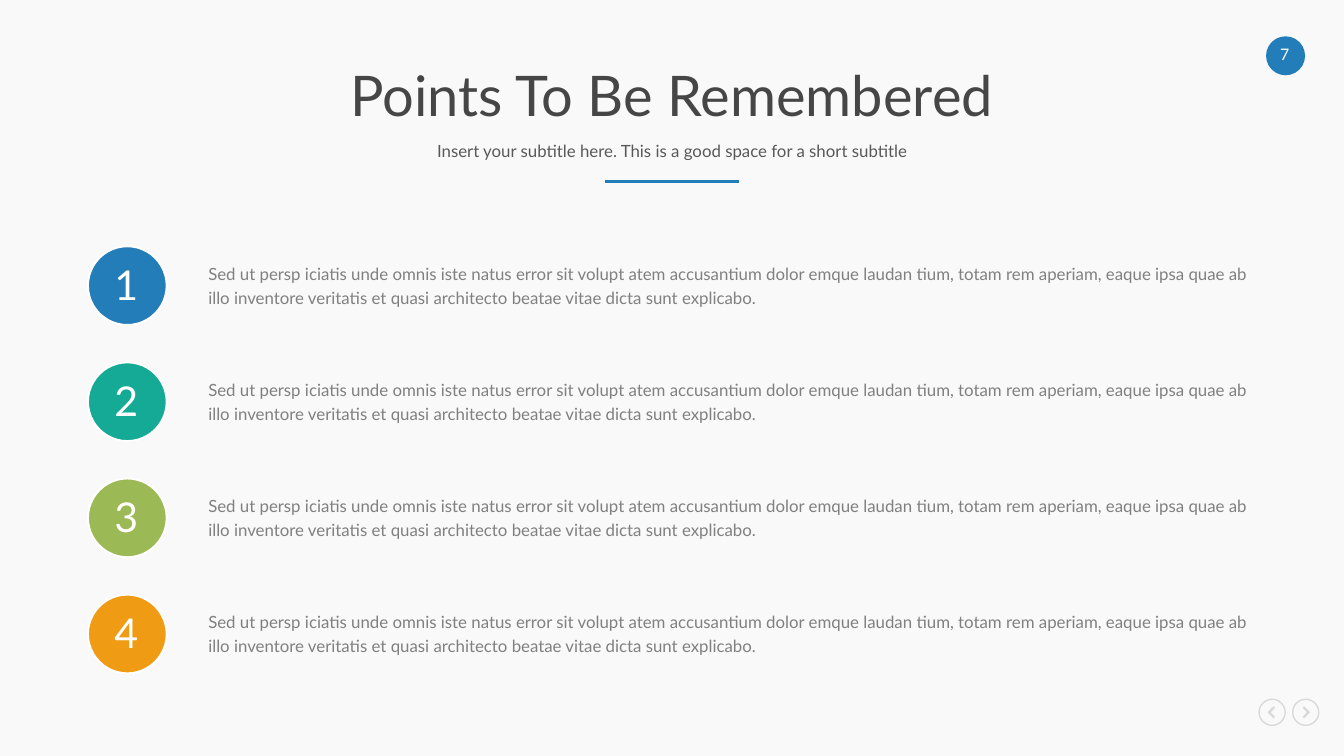
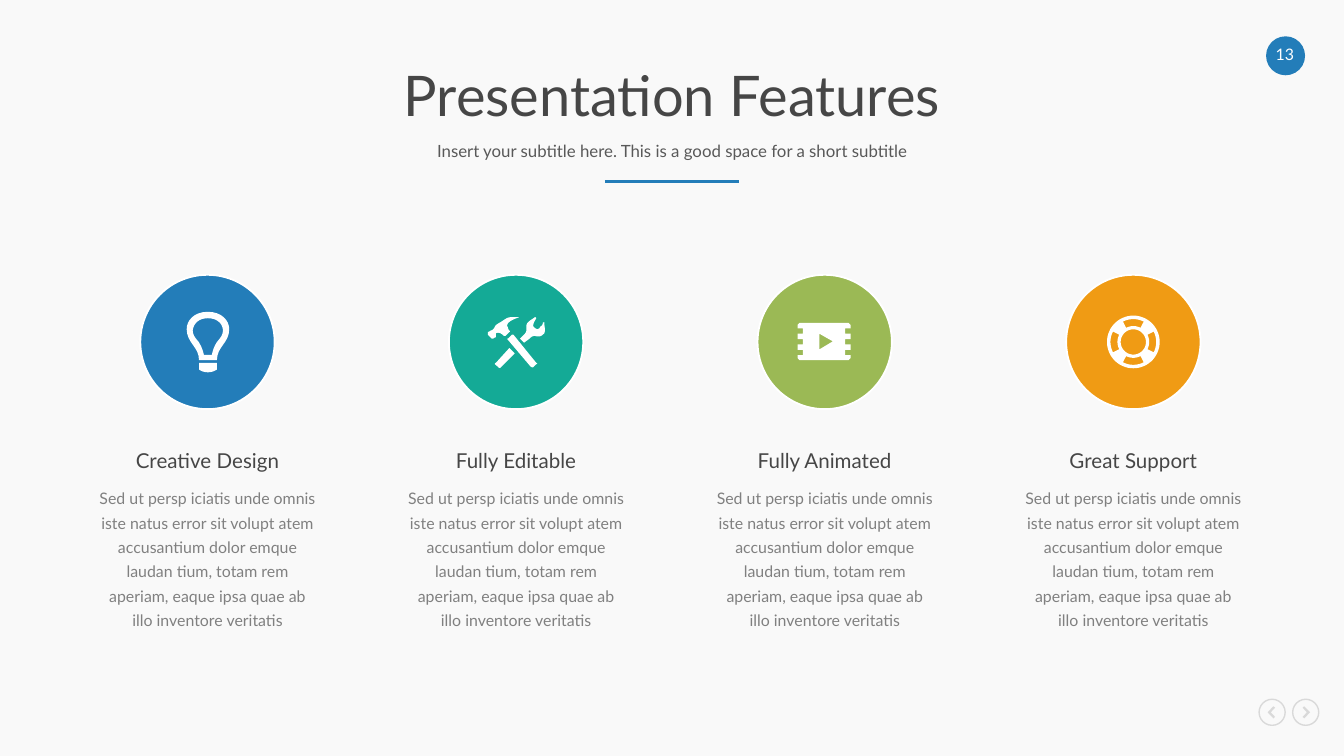
from dataclasses import dataclass
from math import cos, radians, sin
from typing import Iterator

from lxml.etree import SubElement
from pptx import Presentation
from pptx.dml.color import RGBColor
from pptx.enum.shapes import MSO_CONNECTOR, MSO_SHAPE
from pptx.enum.text import MSO_ANCHOR, PP_ALIGN
from pptx.oxml.ns import qn
from pptx.util import Emu, Inches, Pt

# The grid has 100 columns of square cells
SLIDE_WIDTH, SLIDE_HEIGHT = Inches(10), Inches(5.625)
CELL = SLIDE_WIDTH / 100
FONT = "Lato"
COLORS = {
    "background": "F9F9F9", "white": "FFFFFF", "title": "464646",
    "subtitle": "595959", "body": "808080", "navigation": "D9D9D9",
    "blue": "237DB9", "teal": "14AA96", "green": "9BB955", "orange": "F09B14",
}
SUBTITLE = "Insert your subtitle here. This is a good space for a short subtitle"
FEATURE_TEXT = (
    "Sed ut persp iciatis unde omnis iste natus error sit volupt atem accusantium "
    "dolor emque laudan tium, totam rem aperiam, eaque ipsa quae ab illo inventore veritatis"
)
POINT_TEXT = FEATURE_TEXT + " et quasi architecto beatae vitae dicta sunt explicabo."

Point = tuple[float, float]
Contour = list[Point]


@dataclass(frozen=True)
class Box:
    """A rectangle in grid cells."""
    left: float
    top: float
    width: float
    height: float

    def emu(self) -> list[Emu]:
        return [cells(n) for n in (self.left, self.top, self.width, self.height)]


@dataclass(frozen=True)
class Feature:
    heading: str
    color: str
    icon: list[Contour]


def cells(count: float) -> Emu:
    return Emu(round(count * CELL))


def rgb(name: str) -> RGBColor:
    return RGBColor.from_string(COLORS[name])


# Outline geometry
def bezier(*controls: Point, steps: int = 8) -> Iterator[Point]:
    for step in range(1, steps + 1):
        t = step / steps
        weights = ((1 - t) ** 3, 3 * t * (1 - t) ** 2, 3 * t * t * (1 - t), t ** 3)
        yield tuple(sum(w * p[axis] for w, p in zip(weights, controls)) for axis in (0, 1))


def outline(commands: str) -> list[Contour]:
    """Read M, L and C commands; every M starts a closed contour."""
    contours = []
    for part in commands.split("M")[1:]:
        contour = []
        for command in part.replace("L", "|L").replace("C", "|C").split("|"):
            numbers = [float(n) for n in command.strip("LC ").split()]
            points = list(zip(numbers[::2], numbers[1::2]))
            if command.startswith("C"):
                contour.extend(bezier(contour[-1], *points))
            else:
                contour.extend(points)
        contours.append(contour)
    return contours


def arc(radius: float, start: int, end: int) -> Contour:
    step = 6 if end > start else -6
    return [(50 + radius * cos(radians(a)), 49.5 + radius * sin(radians(a)))
            for a in range(start, end + step, step)]


def film_icon() -> list[Contour]:
    left, right, top, bottom, notch = 29.7, 69.2, 35.3, 62.9, 4
    teeth = [top + notch * n for n in range(1, 7)]
    right_side = [(x, y) for n, y in enumerate(teeth)
                  for x in ((right, right - notch) if n % 2 == 0 else (right - notch, right))]
    left_side = [(left + right - x, y) for x, y in reversed(right_side)]
    frame = [(left + 1.5, top), (right - 1.5, top), (right, top + 1.5), *right_side,
             (right, bottom - 1.5), (right - 1.5, bottom), (left + 1.5, bottom),
             (left, bottom - 1.5), *left_side, (left, top + 1.5)]
    return [frame, [(46, 43.3), (56, 49), (46, 55)]]


def lifebuoy_icon() -> list[Contour]:
    gaps = [arc(17, middle - 27, middle + 27) + arc(11.8, middle + 27, middle - 27)
            for middle in range(0, 360, 90)]
    return [arc(19.6, 0, 354), arc(9.4, 0, 354), *gaps]


# Icons are measured in hundredths of the circle behind them
BULB_ICON = outline(
    "M 39 40.5 C 40 35 44 31.8 50.3 31.8 C 56.5 31.8 61 35 61.5 40.5"
    " C 61.5 44 60 46 57 49.5 C 55.5 52 54 55 53.3 59 L 47.3 59"
    " C 46.5 55 45 52 43.5 49.5 C 40.5 46 39 44 39 40.5"
    " M 57 63 C 57 53 66.2 50 66.2 40 C 66.2 33.5 60.5 27 50.3 27"
    " C 40 27 34.5 33.5 34.5 40 C 34.5 50 43.7 53 43.7 63"
    " M 43.7 70 C 46 71.5 48 72 50.3 72 C 52.5 72 54.5 71.5 57 70 L 57 65 L 43.7 65"
)
TOOLS_ICON = outline(
    "M 35 65 C 34 65.3 34 66 34.8 66.5 L 37 68.4 C 37.5 69 38 69 38.6 68.4"
    " L 49 58 L 45 54"
    " M 71 36 C 71 34 71 35 70 35 C 70 36 69 38 68 38 C 68 39 66 41 64 39"
    " C 62 38 63 36 63 36 C 63 35 65 32 65 32 C 65 32 65 31 64 31"
    " C 63 32 59 34 58 36 C 57 39 59 41 56 44 L 53 47 L 56 50 L 60 47"
    " C 61 46 62 45 64 45 C 68 46 69 45 71 43 C 72 41 71 37 71 36"
    " M 48 44 L 47 44 L 44 47 C 43 47 43 47 44 48 L 61 68 C 62 68.5 63 68.5 63 68"
    " L 65 66 C 66 66 66 65 65 65"
    " M 35 43 C 37 42 39 43 41 45 L 42 45 L 45 42 C 45 42 46 42 45 41"
    " C 45 41 44 40 44 39 C 40 34 54 31 52 31 L 46 31 C 43 31 40 34 38 35"
    " C 36 36 35 37 35 37 C 34 38 34 39 33 40 C 32 41 31 41 31 41"
    " C 30 42 29 42 29 42 L 29 44 L 32 47 L 33 47 C 33 47 34 46 35 46 C 35 45 35 44 35 43"
)
CHEVRON = [(-3.3, 0), (1, -4.5), (2.3, -3.4), (-0.9, 0), (2.3, 3.4), (1, 4.5)]

FEATURES = [
    Feature("Creative Design", "blue", BULB_ICON),
    Feature("Fully Editable", "teal", TOOLS_ICON),
    Feature("Fully Animated", "green", film_icon()),
    Feature("Great Support", "orange", lifebuoy_icon()),
]


# Drawing functions
def add_text(slide, box: Box, text: str, *, size: float, color: str,
             align=PP_ALIGN.CENTER, anchor=MSO_ANCHOR.TOP,
             line_spacing=None, space_after=None) -> None:
    frame = slide.shapes.add_textbox(*box.emu()).text_frame
    frame.margin_left = frame.margin_top = frame.margin_right = frame.margin_bottom = 0
    frame.word_wrap = True
    frame.vertical_anchor = anchor
    paragraph = frame.paragraphs[0]
    paragraph.text = text
    paragraph.alignment = align
    paragraph.line_spacing = line_spacing
    paragraph.space_after = space_after
    font = paragraph.runs[0].font
    font.name, font.size = FONT, Pt(size)
    font.color.rgb = rgb(color)


def add_circle(slide, box: Box, *, fill: str | None = None,
               line: str | None = None, line_width: float = 1) -> None:
    shape = slide.shapes.add_shape(MSO_SHAPE.OVAL, *box.emu())
    shape.shadow.inherit = False
    if fill:
        shape.fill.solid()
        shape.fill.fore_color.rgb = rgb(fill)
    else:
        shape.fill.background()
    if line:
        shape.line.color.rgb = rgb(line)
        shape.line.width = Pt(line_width)
    else:
        shape.line.fill.background()


def add_outline(slide, left: float, top: float, contours: list[Contour], color: str) -> None:
    """Draw contours given in tenths of a cell from the left top corner."""
    placed = [[(cells(left + x / 10), cells(top + y / 10)) for x, y in contour]
              for contour in contours]
    builder = slide.shapes.build_freeform(*placed[0][0])
    for index, contour in enumerate(placed):
        if index:
            builder.move_to(*contour[0])
        builder.add_line_segments(contour[1:], close=True)
    shape = builder.convert_to_shape()
    shape.shadow.inherit = False
    shape.fill.solid()
    shape.fill.fore_color.rgb = rgb(color)
    shape.line.fill.background()


def add_base_slide(presentation, title: str, number: int):
    slide = presentation.slides.add_slide(presentation.slide_layouts[6])
    # Rule below the subtitle
    rule = slide.shapes.add_connector(
        MSO_CONNECTOR.STRAIGHT, cells(45), cells(13.5), cells(55), cells(13.5))
    rule.line.color.rgb = rgb("blue")
    rule.line.width = Pt(1.5)
    SubElement(rule._element.spPr, qn("a:effectLst"))
    # Page number
    add_circle(slide, Box(94.2, 2.7, 2.9, 2.9), fill="blue")
    add_text(slide, Box(94.4, 3.3, 2.4, 1.4), str(number), size=8.5, color="white")
    # Navigation arrows
    for center, direction in ((94.65, 1), (97.15, -1)):
        chevron = [(x * direction, y) for x, y in CHEVRON]
        add_outline(slide, center, 53, [chevron], "navigation")
        add_circle(slide, Box(center - 0.97, 52.03, 1.94, 1.94),
                   line="navigation", line_width=0.75)
    # Title and subtitle
    add_text(slide, Box(6.5, 4.8, 87, 5), title, size=30, color="title",
             anchor=MSO_ANCHOR.MIDDLE, line_spacing=0.9)
    add_text(slide, Box(6.5, 10.1, 87, 2.5), SUBTITLE, size=9, color="subtitle",
             anchor=MSO_ANCHOR.MIDDLE, line_spacing=0.9)
    return slide


def build_points(presentation) -> None:
    slide = add_base_slide(presentation, "Points To Be Remembered", 7)
    for index, color in enumerate(("blue", "teal", "green", "orange")):
        top = 18.33 + 8.64 * index
        add_circle(slide, Box(6.55, top, 5.85, 5.85), fill=color, line="white")
        add_text(slide, Box(6.8, top + 0.95, 5.2, 3.6), str(index + 1),
                 size=22, color="white")
        add_text(slide, Box(15.5, top + 0.95, 77.7, 3.5), POINT_TEXT, size=9, color="body",
                 align=PP_ALIGN.LEFT, line_spacing=Pt(13), space_after=Pt(12))


def build_features(presentation) -> None:
    slide = add_base_slide(presentation, "Presentation Features", 13)
    first_center, last_center = 15.44, 84.33
    pitch = (last_center - first_center) / (len(FEATURES) - 1)
    for index, feature in enumerate(FEATURES):
        center = first_center + pitch * index
        add_text(slide, Box(center - 8.1, 36, 16.2, 11.7), FEATURE_TEXT, size=8.5,
                 color="body", line_spacing=Pt(13), space_after=Pt(12))
        add_text(slide, Box(center - 8.2, 33.3, 16.4, 1.9), feature.heading,
                 size=11, color="title")
        add_circle(slide, Box(center - 5, 20.45, 10, 10), fill=feature.color, line="white")
        add_outline(slide, center - 5, 20.5, feature.icon, "white")


def main() -> None:
    presentation = Presentation()
    presentation.slide_width, presentation.slide_height = SLIDE_WIDTH, SLIDE_HEIGHT
    background = presentation.slide_master.background.fill
    background.solid()
    background.fore_color.rgb = rgb("background")
    build_points(presentation)
    build_features(presentation)
    presentation.save("out.pptx")


if __name__ == "__main__":
    main()
